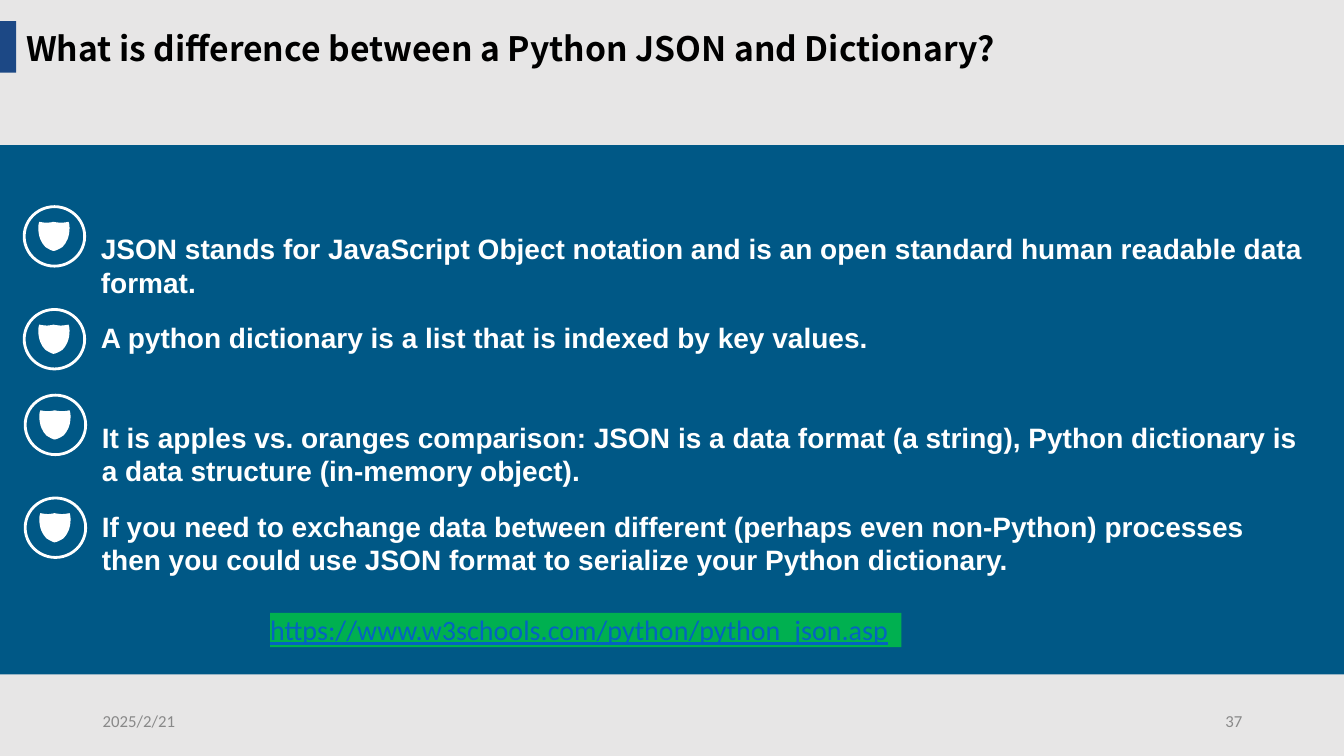
from lxml import etree
from pptx import Presentation
from pptx import util as u
from pptx.dml.color import RGBColor
from pptx.enum import shapes, text
from pptx.oxml import ns

HUES = {"page": "E7E6E6", "band": "005886", "bar": "1C4885", "ink": "000000",
        "pale": "FFFFFF", "gray": "898989", "mark": "00B050", "link": "0563C1"}
HEAD = {"name": "Noto Sans CJK SC", "size": u.Pt(24), "bold": True}
BODY = {"name": "Arial", "size": u.Pt(20), "bold": True}
LINK = {"name": "Calibri", "size": u.Pt(20), "bold": False, "underline": True}
FOOT = {"name": "Calibri", "size": u.Pt(12), "bold": False}
NOTES = [
    [(0, 0.25, 0.67, "JSON stands for JavaScript Object notation and is an open "
      "standard human readable data format."),
     (1.02, 1.13, 0.34, "A python dictionary is a list that is indexed by key values.")],
    [(0, 0.25, 0.67, "It is apples vs. oranges comparison: JSON is a data format "
      "(a string), Python dictionary is a data structure (in-memory object)."),
     (1.02, 1.13, 0.67, "If you need to exchange data between different (perhaps even "
      "non-Python) processes then you could use JSON format to serialize your "
      "Python dictionary.")],
]
CURVES = [
    ((0.30, 0), (0.26, 0.01), (0.22, 0.01)), ((0.19, 0.01), (0.15, 0), (0.15, 0)),
    ((0.15, 0), (0.12, 0.01), (0.09, 0.01)), ((0.05, 0.01), (0.01, 0), (0.01, 0)),
    ((0.01, 0), (0, 0.02), (0, 0.06)), ((0, 0.15), (0.03, 0.21), (0.07, 0.25)),
    ((0.10, 0.27), (0.14, 0.29), (0.15, 0.29)), ((0.17, 0.29), (0.21, 0.27), (0.24, 0.25)),
    ((0.28, 0.21), (0.31, 0.15), (0.31, 0.06)), ((0.31, 0.02), (0.30, 0), (0.30, 0)),
]


def tint(hue):
    """Return the named colour."""
    return RGBColor.from_string(HUES[hue])


def box(*sides):
    """Turn inches into lengths."""
    return [u.Inches(side) for side in sides]


def paint(shape, hue):
    """Fill a shape plainly, without line or shadow."""
    shape.shadow.inherit = False
    shape.fill.solid()
    shape.fill.fore_color.rgb = tint(hue)
    shape.line.fill.background()


def block(slide, hue, *sides):
    """Draw a filled rectangle."""
    shape = slide.shapes.add_shape(shapes.MSO_SHAPE.RECTANGLE, *box(*sides))
    paint(shape, hue)
    return shape


def write(shape, words, look, hue, inset=None, anchor="TOP", align="LEFT"):
    """Set one formatted paragraph in a shape."""
    frame = shape.text_frame
    frame.word_wrap = True
    frame.auto_size = text.MSO_AUTO_SIZE.NONE
    frame.vertical_anchor = text.MSO_ANCHOR[anchor]
    if inset is not None:
        for side in ("left", "top", "right", "bottom"):
            setattr(frame, f"margin_{side}", u.Inches(inset))
    line = frame.paragraphs[0]
    line.alignment = text.PP_ALIGN[align]
    run = line.add_run()
    run.text = words
    for key, value in look.items():
        setattr(run.font, key, value)
    run.font.color.rgb = tint(hue)


def bend(shape):
    """Turn the straight sides of a shield into curves."""
    sides = list(shape._element.iter(ns.qn("a:lnTo")))
    for side, curve in zip(sides, CURVES):
        arc = etree.Element(ns.qn("a:cubicBezTo"))
        for spot in curve:
            x, y = box(*spot)
            etree.SubElement(arc, ns.qn("a:pt"), x=str(int(x)), y=str(int(y)))
        side.getparent().replace(side, arc)


def shield(group, left, top):
    """Draw a filled shield."""
    ends = [tuple(box(left + x, top + y)) for *_, (x, y) in CURVES]
    pen = group.shapes.build_freeform(*ends[-1])
    pen.add_line_segments(ends, close=True)
    shape = pen.convert_to_shape()
    paint(shape, "pale")
    bend(shape)


def icon(slide, left, top):
    """Draw a shield in a ring."""
    group = slide.shapes.add_group_shape()
    shield(group, left + 0.14, top + 0.15)
    ring = group.shapes.add_shape(shapes.MSO_SHAPE.OVAL, *box(left, top, 0.6, 0.59))
    ring.shadow.inherit = False
    ring.fill.background()
    ring.line.color.rgb = tint("pale")
    ring.line.width = u.Pt(2)


def header(slide, left, top, width, height):
    """Place the accent bar and the title."""
    block(slide, "bar", left, top, 0.16, height)
    title = slide.shapes.title
    title.left, title.top, title.width, title.height = box(
        left + 0.16, top + 0.02, width, height)
    write(title, "What is difference between a Python JSON and Dictionary?", HEAD, "ink")


def points(slide, left, top):
    """Place the pairs of notes with their icons."""
    for pair, rows in enumerate(NOTES):
        x, y = left + 0.01 * pair, top + 1.87 * pair
        for mark, drop, height, words in rows:
            icon(slide, x, y + mark)
            note = slide.shapes.add_textbox(*box(x + 0.76, y + drop, 11.98, height))
            write(note, words, BODY, "pale", inset=0)


def panel(slide, left, top, width, height):
    """Place the blue band with notes and address."""
    block(slide, "band", left, top, width, height)
    points(slide, left + 0.24, top + 0.61)
    site = block(slide, "mark", left + 2.68, top + 4.64, 6.26, 0.34)
    write(site, "https://www.w3schools.com/python/python_json.asp", LINK, "link", inset=0)


def footer(slide, left, top, width, height):
    """Place the date and the page number."""
    for x, words, align in ((left, "2025/2/21", "LEFT"),
                            (left + width - 3, "37", "RIGHT")):
        shape = slide.shapes.add_textbox(*box(x, top, 3, height))
        write(shape, words, FOOT, "gray", anchor="MIDDLE", align=align)


def main():
    """Build and save the slide."""
    deck = Presentation()
    deck.slide_width, deck.slide_height = box(13.33, 7.5)
    slide = deck.slides.add_slide(deck.slide_layouts[5])
    slide.background.fill.solid()
    slide.background.fill.fore_color.rgb = tint("page")
    panel(slide, 0, 1.44, 13.33, 5.25)
    header(slide, 0, 0.21, 10.38, 0.51)
    footer(slide, 0.92, 6.95, 11.5, 0.4)
    deck.save("out.pptx")


if __name__ == "__main__":
    main()
